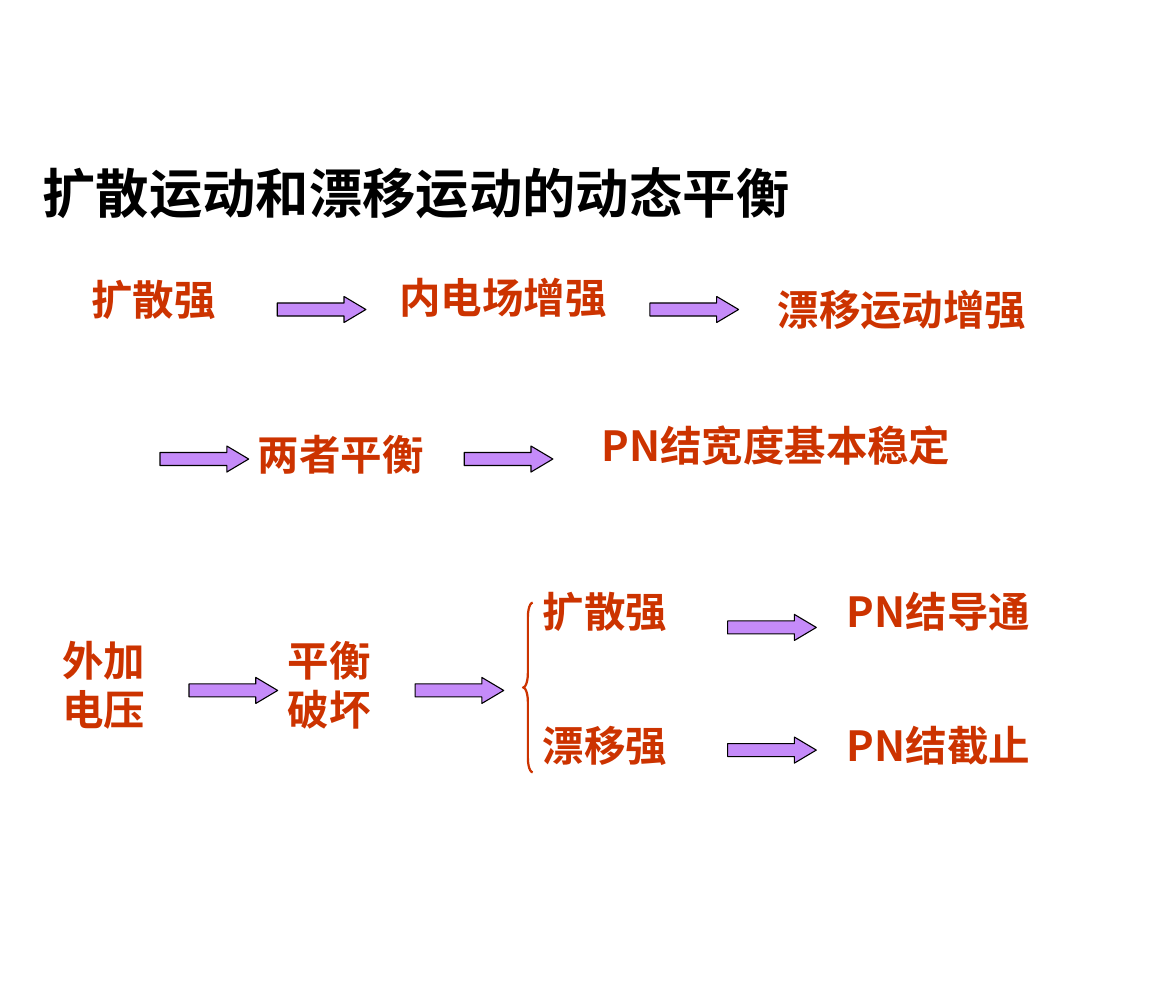
from lxml import etree
from pptx import Presentation
from pptx import util as u
from pptx.dml.color import RGBColor
from pptx.enum import shapes, text
from pptx.oxml.ns import qn

COLORS = {"title": "000000", "label": "CC3300", "arrow": "C58BF9", "outline": "000000"}
SERIF = "Times New Roman"
SANS = "Noto Sans CJK SC"
LABEL_HEIGHT = 1.45
UPPER_BRANCH, LOWER_BRANCH = 13.82, 17.02

# wording, left, top, width in cm
LABELS = [
    ("扩散强", 1.93, 6.4, 4.19),
    ("漂移运动增强", 18.26, 6.63, 7.24),
    ("两者平衡", 5.89, 10.08, 5.13),
    ("扩散强", 12.67, UPPER_BRANCH, 4.19),
    ("漂移强", 12.67, LOWER_BRANCH, 3.96),
]
JUNCTION_LABELS = [
    ("PN结宽度基本稳定", 14.07, 9.88, 10.26),
    ("PN结导通", 19.91, UPPER_BRANCH, 5.13),
    ("PN结截止", 19.91, LOWER_BRANCH, 7.01),
]
TWO_LINE_LABELS = [("外加电压", 1.24, 14.98, 3.25), ("平衡破坏", 6.6, 14.98, 3.28)]

# top of each row of arrows, with the left edges in it
ARROW_ROWS = {
    7.06: (6.6, 15.47),
    10.62: (3.81, 11.05),
    14.63: (17.32,),
    16.13: (4.5, 9.88),
    17.55: (17.32,),
}


def rgb(name):
    return RGBColor.from_string(COLORS[name])


def add_text(slide, wording, left, top, width, height=LABEL_HEIGHT,
             size=28, color="label", font=SERIF):
    box = slide.shapes.add_textbox(u.Cm(left), u.Cm(top), u.Cm(width), u.Cm(height))
    frame = box.text_frame
    frame.word_wrap = True
    frame.vertical_anchor = text.MSO_ANCHOR.MIDDLE
    paragraph = frame.paragraphs[0]
    paragraph.text = wording
    run_font = paragraph.runs[0].font
    run_font.size = u.Pt(size)
    run_font.bold = True
    run_font.name = font
    run_font.color.rgb = rgb(color)
    east_asian = etree.SubElement(paragraph.runs[0].font._element, qn("a:ea"))
    east_asian.set("typeface", SANS)
    return paragraph


def add_arrow(slide, left, top):
    arrow = slide.shapes.add_shape(
        shapes.MSO_SHAPE.RIGHT_ARROW, u.Cm(left), u.Cm(top), u.Cm(2.11), u.Cm(0.62))
    arrow.adjustments[1] = 0.84
    arrow.shadow.inherit = False
    arrow.fill.solid()
    arrow.fill.fore_color.rgb = rgb("arrow")
    arrow.line.color.rgb = rgb("outline")
    arrow.line.width = u.Pt(0.75)


def add_brace(slide, left, top, width, height):
    brace = slide.shapes.add_shape(
        shapes.MSO_SHAPE.LEFT_BRACE, u.Cm(left), u.Cm(top), u.Cm(width), u.Cm(height))
    brace.adjustments[0] = 1.48
    brace.shadow.inherit = False
    brace.fill.background()
    brace.line.color.rgb = rgb("label")
    brace.line.width = u.Pt(1.5)


def main():
    presentation = Presentation()
    presentation.slide_width = u.Cm(27.99)
    presentation.slide_height = u.Cm(24)
    slide = presentation.slides.add_slide(presentation.slide_layouts[6])

    add_text(slide, "扩散运动和漂移运动的动态平衡", 0.76, 3.68, 21.95, 1.78,
             size=36, color="title")
    for label in LABELS:
        add_text(slide, *label)
    field = add_text(slide, "内电场增强", 8.71, 6.35, 6.53)
    field.alignment = text.PP_ALIGN.CENTER
    for label in JUNCTION_LABELS:
        add_text(slide, *label, font=SANS)
    for label in TWO_LINE_LABELS:
        paragraph = add_text(slide, *label, height=2.64)
        paragraph.line_spacing = u.Pt(33)

    for top, lefts in ARROW_ROWS.items():
        for left in lefts:
            add_arrow(slide, left, top)
    add_brace(slide, 12.45, 14.35, 0.23, 4.04)

    presentation.save("out.pptx")


if __name__ == "__main__":
    main()
